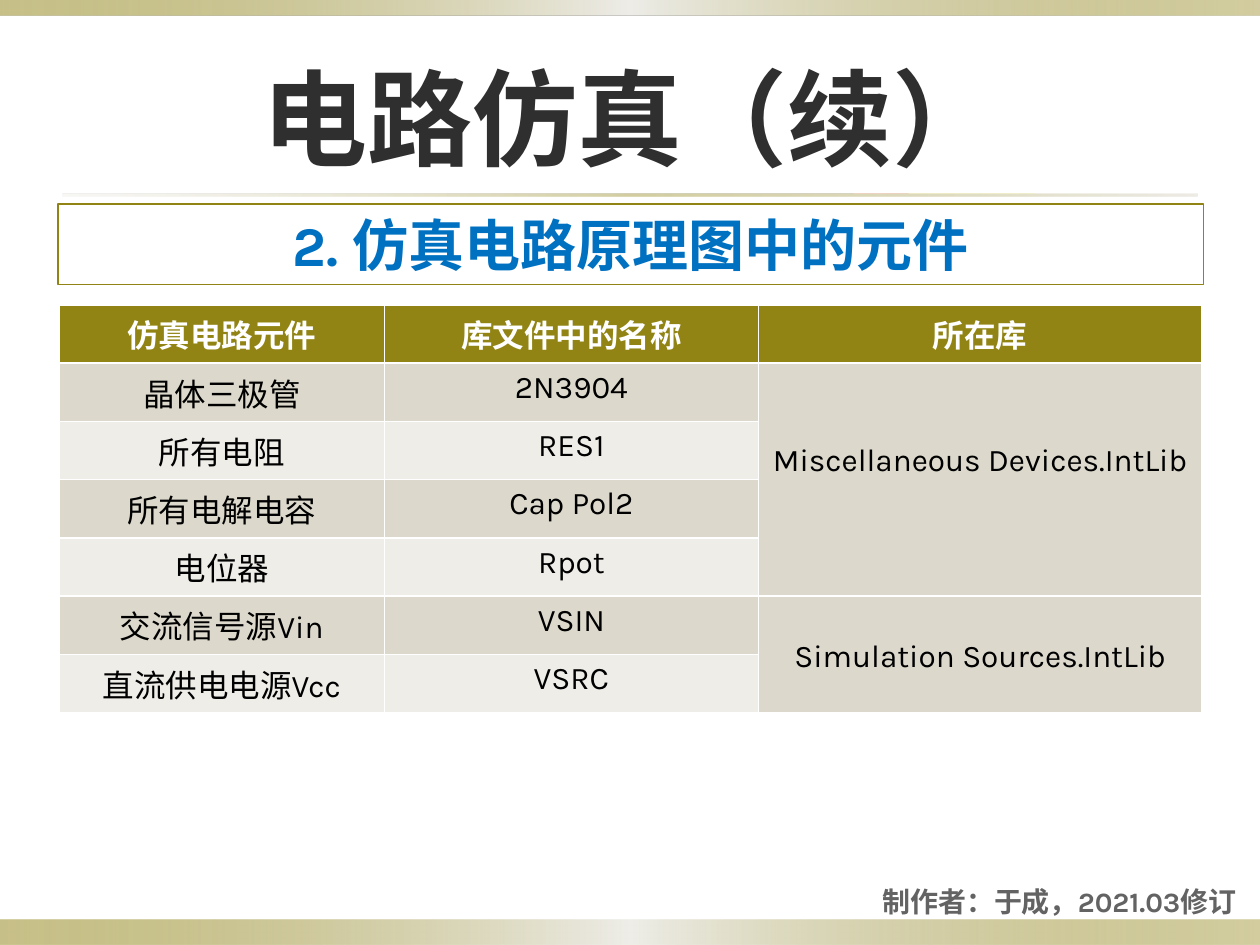
from dataclasses import dataclass

from lxml.etree import SubElement
from pptx import Presentation
from pptx.dml.color import RGBColor
from pptx.enum.shapes import MSO_SHAPE
from pptx.enum.text import MSO_ANCHOR, MSO_AUTO_SIZE, PP_ALIGN
from pptx.oxml.ns import qn
from pptx.slide import Slide
from pptx.text.text import TextFrame
from pptx.util import Inches, Pt


@dataclass(frozen=True)
class Theme:
    font: str = "Karla"
    olive: str = "918415"
    sand: str = "DCD9CC"
    pale: str = "EEEDE8"
    white: str = "FFFFFF"
    black: str = "000000"
    charcoal: str = "2F2F2F"
    gray: str = "636363"
    blue: str = "0070C0"
    title_size: int = 60
    heading_size: int = 32
    table_size: int = 18
    footer_size: int = 16


@dataclass(frozen=True)
class GradientStop:
    position: int
    color: str
    opacity: int = 100


@dataclass(frozen=True)
class Band:
    left: float
    top: float
    width: float
    height: float
    stops: tuple[GradientStop, ...]


@dataclass(frozen=True)
class Library:
    name: str
    first_row: int
    last_row: int
    top_margin: float


THEME = Theme()

EDGE_STOPS = (
    GradientStop(0, THEME.olive, 50),
    GradientStop(50, THEME.pale),
    GradientStop(100, THEME.olive, 40),
)
RULE_STOPS = (
    GradientStop(0, THEME.sand, 20),
    GradientStop(50, THEME.olive, 40),
    GradientStop(100, THEME.sand, 50),
)
BANDS = (
    Band(0, 7.3, 10, 0.2, EDGE_STOPS),
    Band(0, 0, 10, 0.12, EDGE_STOPS),
    Band(0.5, 1.54, 9, 0.02, RULE_STOPS),
)

HEADERS = ("仿真电路元件", "库文件中的名称", "所在库")
COMPONENTS = (
    ("晶体三极管", "2N3904"),
    ("所有电阻", "RES1"),
    ("所有电解电容", "Cap Pol2"),
    ("电位器", "Rpot"),
    ("交流信号源Vin", "VSIN"),
    ("直流供电电源Vcc", "VSRC"),
)
LIBRARIES = (
    Library("Miscellaneous Devices.IntLib", 1, 4, 0.63),
    Library("Simulation Sources.IntLib", 5, 6, 0.34),
)
COLUMN_WIDTHS = (2.58, 2.97, 3.52)
ROW_HEIGHT = 0.41


def write_text(
    text_frame: TextFrame,
    text: str,
    size: int,
    color: str,
    bold: bool = True,
    alignment: PP_ALIGN = PP_ALIGN.CENTER,
) -> None:
    text_frame.text = text
    paragraph = text_frame.paragraphs[0]
    paragraph.alignment = alignment
    for run in paragraph.runs:
        run.font.name = THEME.font
        run.font.size = Pt(size)
        run.font.bold = bold
        run.font.color.rgb = RGBColor.from_string(color)


def draw_band(slide: Slide, band: Band) -> None:
    shape = slide.shapes.add_shape(
        MSO_SHAPE.RECTANGLE,
        Inches(band.left), Inches(band.top), Inches(band.width), Inches(band.height),
    )
    shape.shadow.inherit = False
    shape.line.fill.background()
    shape.fill.gradient()
    shape.fill.gradient_angle = 0
    stop_list = shape.element.spPr.find(qn("a:gradFill")).find(qn("a:gsLst"))
    for old_stop in list(stop_list):
        stop_list.remove(old_stop)
    for stop in band.stops:
        stop_element = SubElement(stop_list, qn("a:gs"), pos=str(stop.position * 1000))
        color = SubElement(stop_element, qn("a:srgbClr"), val=stop.color)
        if stop.opacity < 100:
            SubElement(color, qn("a:alpha"), val=str(stop.opacity * 1000))


def draw_title(slide: Slide) -> None:
    title = slide.shapes.title
    title.left, title.top = Inches(0.5), Inches(0.3)
    title.width, title.height = Inches(9), Inches(1.25)
    title.text_frame.vertical_anchor = MSO_ANCHOR.MIDDLE
    write_text(title.text_frame, "电路仿真（续）", THEME.title_size, THEME.charcoal)


def draw_heading(slide: Slide) -> None:
    heading = slide.shapes.add_shape(
        MSO_SHAPE.RECTANGLE, Inches(0.46), Inches(1.62), Inches(9.09), Inches(0.64)
    )
    heading.shadow.inherit = False
    heading.fill.background()
    heading.line.color.rgb = RGBColor.from_string(THEME.olive)
    heading.line.width = Pt(0.75)
    heading.text_frame.auto_size = MSO_AUTO_SIZE.SHAPE_TO_FIT_TEXT
    write_text(
        heading.text_frame, "2. 仿真电路原理图中的元件", THEME.heading_size, THEME.blue
    )


def draw_footer(slide: Slide) -> None:
    footer = slide.shapes.add_textbox(Inches(5.83), Inches(7), Inches(4.08), Inches(0.31))
    footer.text_frame.word_wrap = True
    footer.text_frame.vertical_anchor = MSO_ANCHOR.MIDDLE
    write_text(
        footer.text_frame, "制作者：于成，2021.03修订",
        THEME.footer_size, THEME.gray, alignment=PP_ALIGN.RIGHT,
    )


def draw_table(slide: Slide) -> None:
    row_count = len(COMPONENTS) + 1
    table = slide.shapes.add_table(
        row_count, len(HEADERS), Inches(0.47), Inches(2.42),
        Inches(sum(COLUMN_WIDTHS)), Inches(ROW_HEIGHT * row_count),
    ).table
    for column, width in zip(table.columns, COLUMN_WIDTHS):
        column.width = Inches(width)
    for row_index, row in enumerate(table.rows):
        row.height = Inches(ROW_HEIGHT)
        band_color = THEME.sand if row_index % 2 else THEME.pale
        for cell in row.cells:
            cell.fill.solid()
            cell.fill.fore_color.rgb = RGBColor.from_string(
                band_color if row_index else THEME.olive
            )
    for column_index, header in enumerate(HEADERS):
        write_text(
            table.cell(0, column_index).text_frame, header, THEME.table_size, THEME.white
        )
    for row_index, names in enumerate(COMPONENTS, start=1):
        for column_index, name in enumerate(names):
            write_text(
                table.cell(row_index, column_index).text_frame, name,
                THEME.table_size, THEME.black, bold=False,
            )
    library_column = len(HEADERS) - 1
    for library in LIBRARIES:
        cell = table.cell(library.first_row, library_column)
        cell.merge(table.cell(library.last_row, library_column))
        cell.margin_top = Inches(library.top_margin)
        write_text(
            cell.text_frame, library.name, THEME.table_size, THEME.black, bold=False
        )


def main() -> None:
    presentation = Presentation()
    presentation.slide_width = Inches(10)
    presentation.slide_height = Inches(7.5)
    slide = presentation.slides.add_slide(presentation.slide_layouts[5])
    for band in BANDS:
        draw_band(slide, band)
    draw_table(slide)
    draw_title(slide)
    draw_footer(slide)
    draw_heading(slide)
    presentation.save("out.pptx")


if __name__ == "__main__":
    main()
